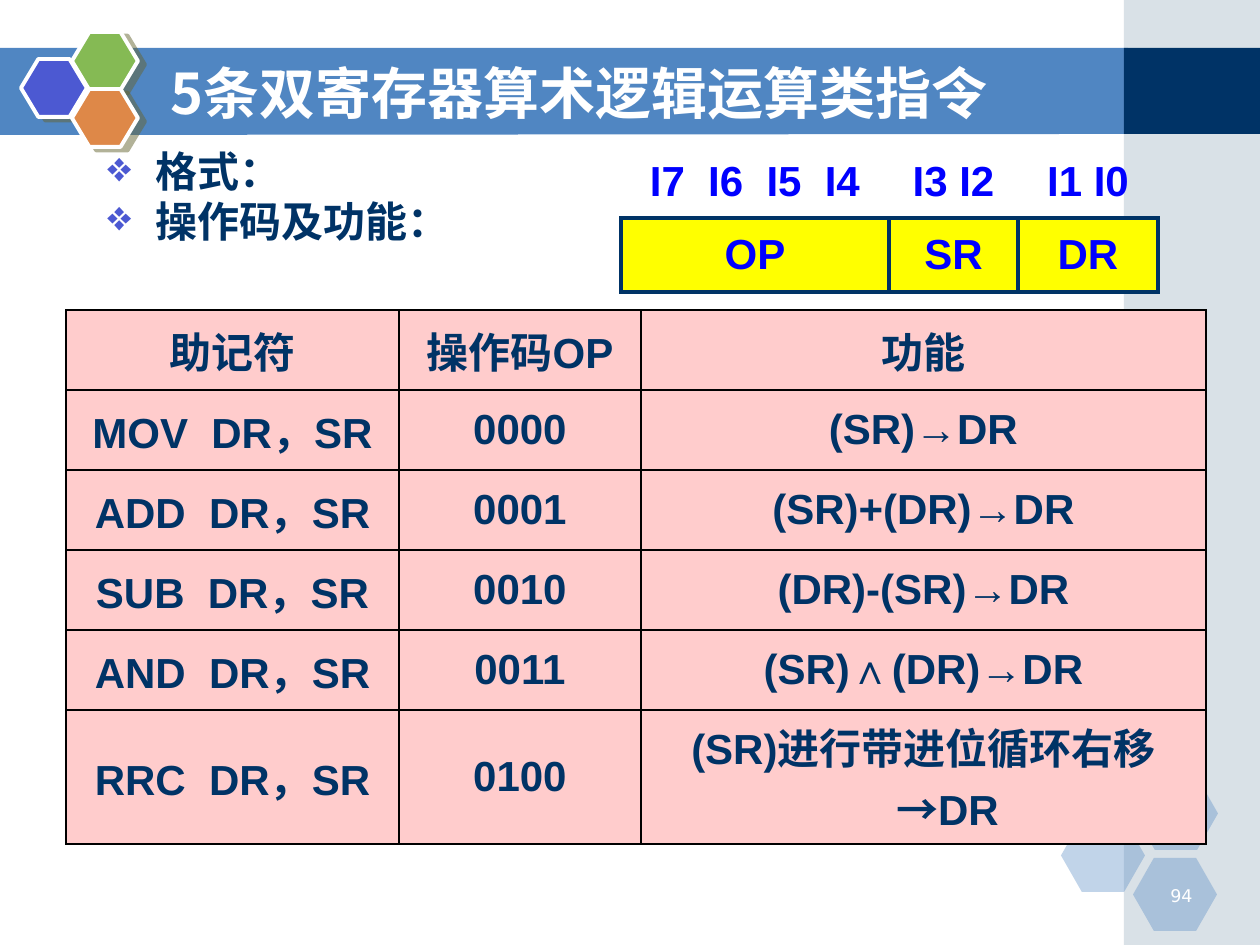
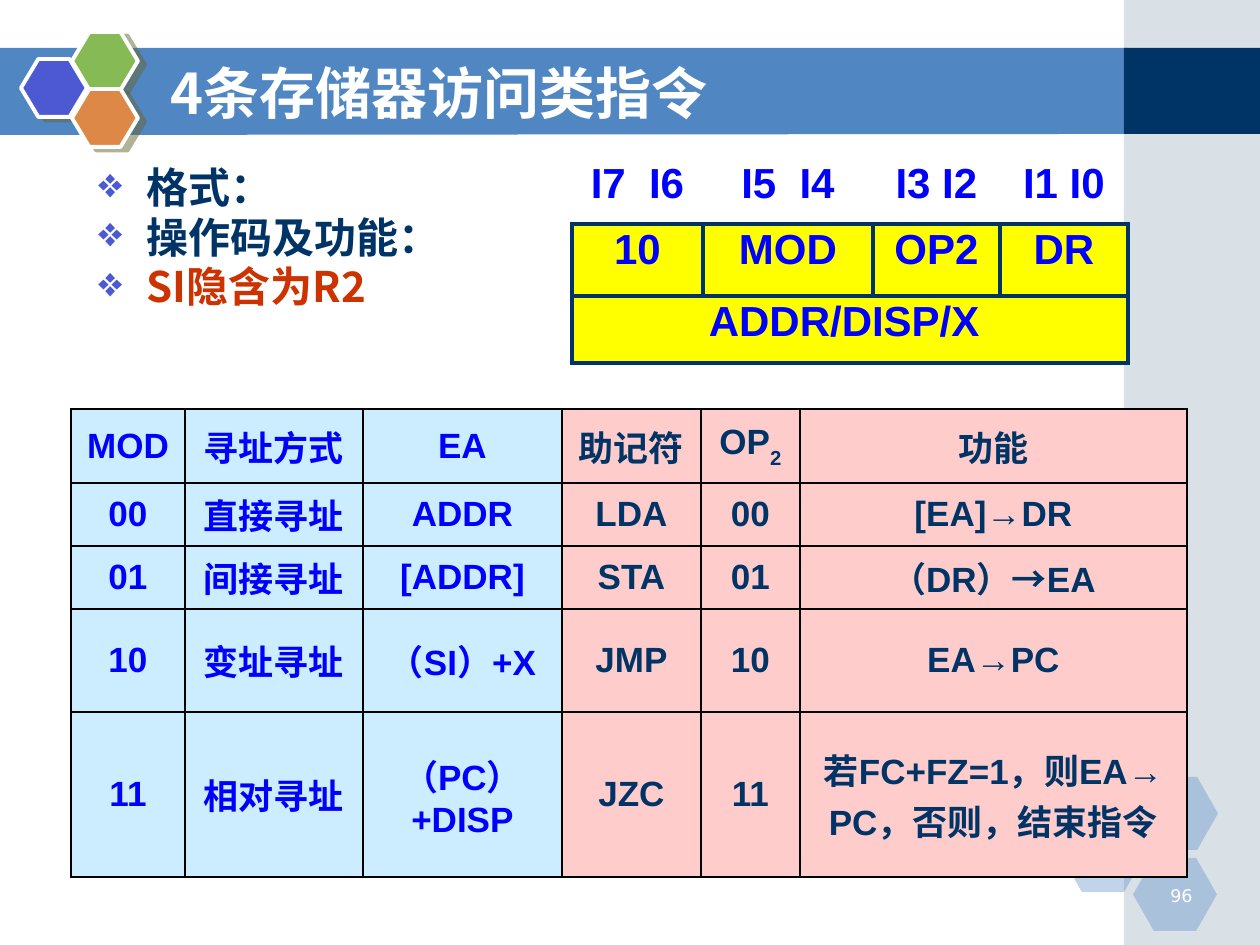
import pptx
import pptx.util
import pptx.dml.color
import pptx.enum.shapes
import pptx.enum.text
import pptx.oxml
import pptx.oxml.ns

RGB = pptx.dml.color.RGBColor
NAVY = RGB(0x00, 0x33, 0x66)
BAND = RGB(0x50, 0x86, 0xC2)
SIDE = RGB(0xA0, 0xB5, 0xC4)
PURPLE = RGB(0x4C, 0x59, 0xD2)
GREEN = RGB(0x85, 0xBA, 0x54)
ORANGE = RGB(0xDE, 0x88, 0x48)
OLIVE = RGB(0x66, 0x66, 0x33)
BLUE = RGB(0x00, 0x00, 0xFF)
RED = RGB(0xCC, 0x33, 0x00)
YELLOW = RGB(0xFF, 0xFF, 0x00)
PINK = RGB(0xFF, 0xCC, 0xCC)
SKY = RGB(0xCC, 0xEC, 0xFF)
WHITE = RGB(0xFF, 0xFF, 0xFF)
BLACK = RGB(0x00, 0x00, 0x00)

LATIN, ASIAN, PLAIN = "Arial", "Noto Sans CJK SC", "DejaVu Sans"
SCALE = 914400 / 126
HANG = 48
ALIGN = pptx.enum.text.PP_ALIGN
ANCHOR = pptx.enum.text.MSO_ANCHOR
KIND = pptx.enum.shapes.MSO_SHAPE
qn = pptx.oxml.ns.qn


def px(size):
    return pptx.util.Emu(round(size * SCALE))


def node(xml):
    return pptx.oxml.parse_xml(xml.replace(">", f" {pptx.oxml.ns.nsdecls('a')}>", 1))


# Text
def write(par, text, size, ink, face=ASIAN, bold=True, sub=""):
    par.text = text
    if sub:
        par.add_run().text = sub
    for run in par.runs:
        font = run.font
        font.size, font.bold, font.name = pptx.util.Pt(size), bold, face
        font.color.rgb = ink
        run._r.get_or_add_rPr().append(node(f'<a:ea typeface="{ASIAN}"></a:ea>'))
    if sub:
        par.runs[-1]._r.rPr.set("baseline", "-30000")


def indent(par):
    props = par._p.get_or_add_pPr()
    props.set("marL", str(px(HANG)))
    props.set("indent", str(-px(HANG)))
    return props


def box(slide, left, top, width, height):
    frame = slide.shapes.add_textbox(px(left), px(top), px(width), px(height)).text_frame
    frame.word_wrap = True
    return frame


def points(slide, left, top, width, height, items):
    frame = box(slide, left, top, width, height)
    for i, (text, ink) in enumerate(items):
        par = frame.add_paragraph() if i else frame.paragraphs[0]
        props = indent(par)
        props.append(node(f'<a:buClr><a:srgbClr val="{PURPLE}"/></a:buClr>'))
        props.append(node('<a:buChar char="❖"></a:buChar>'))
        write(par, text, 24, ink)
        par.line_spacing = 0.9
        if i:
            par.space_before = pptx.util.Pt(2.4)


# Shapes
def paint(shape, fill, alpha=None):
    shape.shadow.inherit = False
    shape.fill.solid()
    shape.fill.fore_color.rgb = fill
    shape.line.fill.background()
    if alpha:
        tone = shape._element.spPr.find(".//" + qn("a:srgbClr"))
        tone.append(node(f'<a:alpha val="{alpha * 1000}"></a:alpha>'))


def block(slide, kind, left, top, width, height, fill, alpha=None):
    shape = slide.shapes.add_shape(kind, px(left), px(top), px(width), px(height))
    paint(shape, fill, alpha)
    return shape


def badge(slide, left, top, fill):
    shape = block(slide, KIND.HEXAGON, left, top, 66, 58, fill)
    shape.adjustments[0] = 0.3
    shape.line.color.rgb = WHITE
    shape.line.width = pptx.util.Pt(2.25)
    shape._element.spPr.find(qn("a:effectLst")).append(node(
        '<a:outerShdw blurRad="0" dist="57150" dir="1620000" algn="ctr" rotWithShape="0">'
        f'<a:srgbClr val="{OLIVE}"><a:alpha val="50000"/></a:srgbClr></a:outerShdw>'))


def decor(slide):
    pen = slide.shapes.build_freeform(-1, 48, SCALE)
    pen.add_line_segments([(1128, 48), (1128, 134), (-1, 135)], close=True)
    paint(pen.convert_to_shape(), BAND)
    block(slide, KIND.RECTANGLE, 1124, 0, 136, 945, SIDE, 40)
    block(slide, KIND.RECTANGLE, 1124, 48, 136, 86, NAVY)
    for left, top in ((1061, 819), (1134, 777), (1133, 858)):
        block(slide, KIND.HEXAGON, left, top, 84, 73, BAND, 35).adjustments[0] = 0.286
    for left, top, fill in ((21, 59, PURPLE), (72, 32, GREEN), (72, 89, ORANGE)):
        badge(slide, left, top, fill)


def page(deck, title, number):
    slide = deck.slides.add_slide(deck.slide_layouts[5])
    decor(slide)
    par = box(slide, 1142, 879, 63, 31).paragraphs[0]
    write(par, number, 10, WHITE, PLAIN, False)
    par.alignment = ALIGN.RIGHT
    head = slide.shapes.title
    slide.shapes._spTree.append(head._element)
    head.left, head.top, head.width, head.height = px(158), px(53), px(924), px(78)
    frame = head.text_frame
    frame.auto_size = pptx.enum.text.MSO_AUTO_SIZE.NONE
    frame.vertical_anchor = ANCHOR.MIDDLE
    write(frame.paragraphs[0], title, 32, WHITE)
    frame.paragraphs[0].alignment = ALIGN.LEFT
    return slide


# Tables
def edge(cell, ink, width, sides="LRTB"):
    props = cell._tc.get_or_add_tcPr()
    for side in "LRTB":
        fill = f'<a:solidFill><a:srgbClr val="{ink}"/></a:solidFill>'
        if side not in sides:
            fill = "<a:noFill/>"
        props.append(node(f'<a:ln{side} w="{round(width * 12700)}">{fill}</a:ln{side}>'))


def table(slide, left, top, cols, rows):
    made = slide.shapes.add_table(len(rows), len(cols), px(left), px(top),
                                  px(sum(cols)), px(sum(rows))).table
    made.first_row = made.horz_banding = False
    for col, width in zip(made.columns, cols):
        col.width = px(width)
    for row, height in zip(made.rows, rows):
        row.height = px(height)
    return made


def put(cell, text, size, ink, anchor, sub=""):
    cell.vertical_anchor = anchor
    par = cell.text_frame.paragraphs[0]
    write(par, text, size, ink, LATIN, sub=sub)
    par.alignment = ALIGN.CENTER
    return par


def layout(slide, left, top, cols, rows, grid, anchor):
    """Instruction word: bit numbers over yellow fields."""
    made = table(slide, left, top, cols, rows)
    for r, line in enumerate(grid):
        for c in range(len(cols)):
            cell = made.cell(r, c)
            cell.margin_left = cell.margin_right = px(3)
            cell.margin_top = cell.margin_bottom = px(3)
            edge(cell, NAVY, 2.25, "LRTB" if r else "B")
            if r:
                cell.fill.solid()
                cell.fill.fore_color.rgb = YELLOW
            else:
                cell.fill.background()
            if c < len(line):
                put(cell, line[c], 24, BLUE, anchor)
        if len(line) == 1:
            made.cell(r, 0).merge(made.cell(r, len(cols) - 1))


def codes(slide, left, top, cols, rows, grid, size, modes=0, hang=False):
    """Instruction list; the first `modes` columns hold addressing modes."""
    made = table(slide, left, top, cols, rows)
    for r, line in enumerate(grid):
        for c, text in enumerate(line):
            cell = made.cell(r, c)
            edge(cell, BLACK, 1)
            cell.fill.solid()
            cell.fill.fore_color.rgb = SKY if c < modes else PINK
            base, _, sub = text.partition("_")
            par = put(cell, base, size, BLUE if c < modes else NAVY, ANCHOR.MIDDLE, sub)
            if hang:
                indent(par)


def main():
    deck = pptx.Presentation()
    deck.slide_width, deck.slide_height = px(1260), px(945)

    # Two-register instructions
    slide = page(deck, "5条双寄存器算术逻辑运算类指令", "94")
    points(slide, 95, 145, 466, 139, [("格式：", NAVY), ("操作码及功能：", NAVY)])
    layout(slide, 621, 145, [268, 129, 140], [73, 74],
           [["I7  I6  I5  I4", "I3 I2", "I1 I0"], ["OP", "SR", "DR"]], ANCHOR.MIDDLE)
    tasks = [("MOV", "(SR)→DR"), ("ADD", "(SR)+(DR)→DR"), ("SUB", "(DR)-(SR)→DR"),
             ("AND", "(SR)∧(DR)→DR"), ("RRC", "(SR)进行带进位循环右移→DR")]
    grid = [["助记符", "操作码OP", "功能"]]
    grid += [[f"{name}  DR，SR", f"{i:04b}", task] for i, (name, task) in enumerate(tasks)]
    codes(slide, 66, 310, [333, 242, 565], [80] * 5 + [134], grid, 24, hang=True)

    # Memory access instructions
    slide = page(deck, "4条存储器访问类指令", "96")
    points(slide, 86, 161, 466, 189,
           [("格式：", NAVY), ("操作码及功能：", NAVY), ("SI隐含为R2", RED)])
    layout(slide, 572, 158, [131, 170, 127, 128], [66, 72, 67],
           [["I7  I6", "I5  I4", "I3 I2", "I1 I0"], ["10", "MOD", "OP2", "DR"],
            ["ADDR/DISP/X "]], ANCHOR.TOP)
    codes(slide, 71, 409, [114, 178, 199, 139, 99, 387], [74, 63, 63, 103, 165], [
        ["MOD", "寻址方式", "EA", "助记符", "OP_2", "功能"],
        ["00", "直接寻址", "ADDR", "LDA", "00", "[EA]→DR"],
        ["01", "间接寻址", "[ADDR]", "STA", "01", "（DR）→EA"],
        ["10", "变址寻址", "（SI）+X", "JMP", "10", "EA→PC"],
        ["11", "相对寻址", "（PC）+DISP", "JZC", "11",
         "若FC+FZ=1，则EA→ PC，否则，结束指令"],
    ], 20, modes=3)

    deck.save("out.pptx")


if __name__ == "__main__":
    main()
